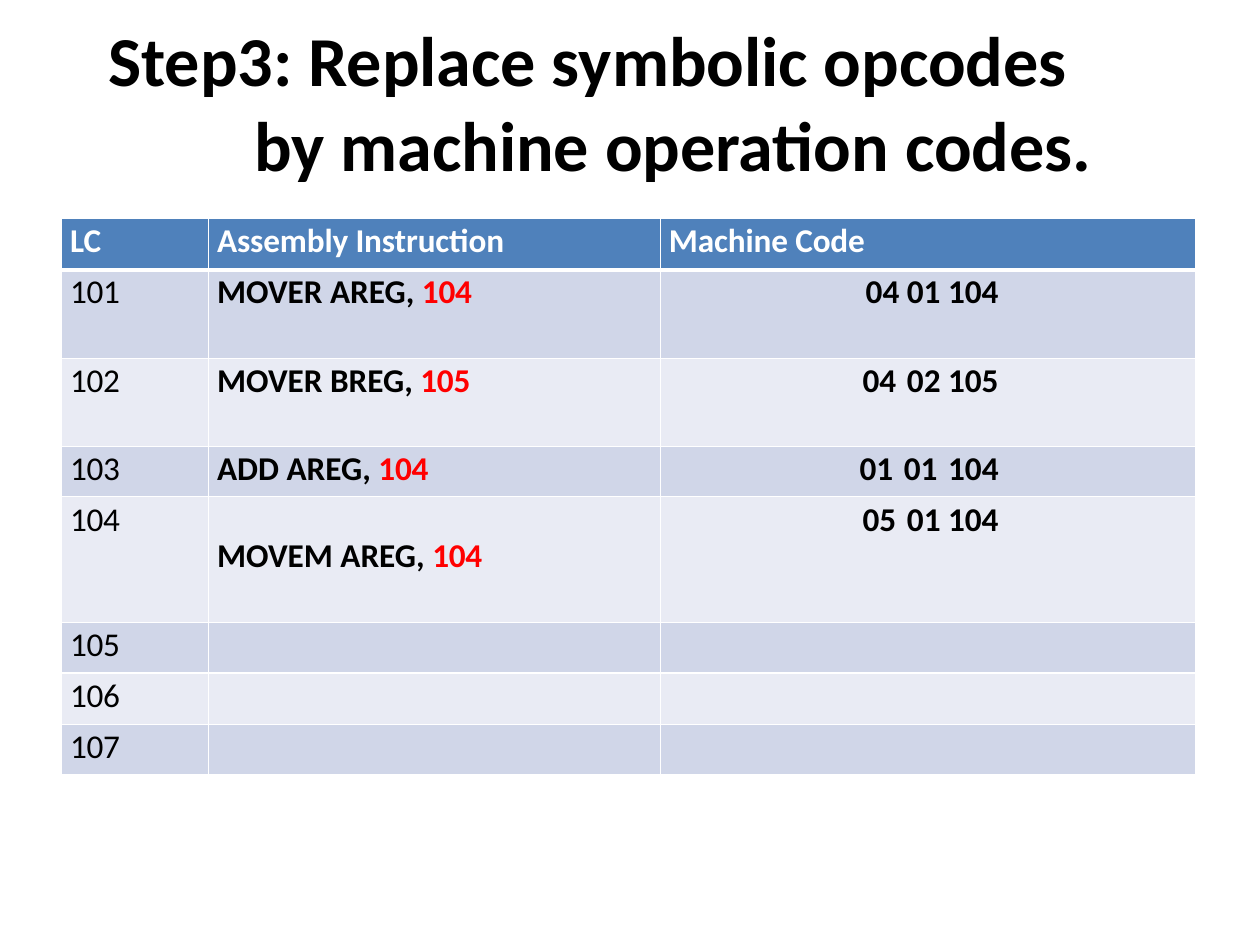
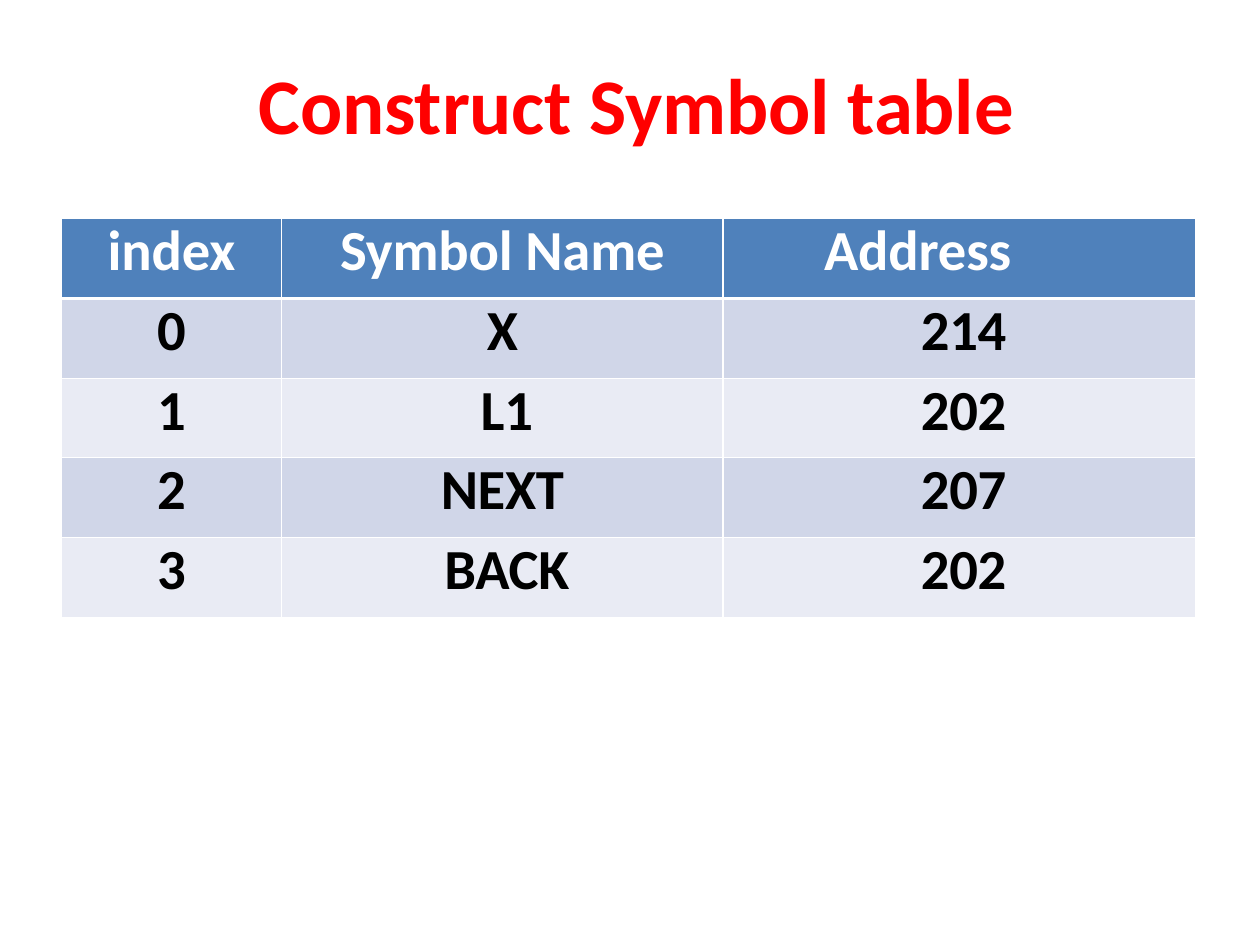
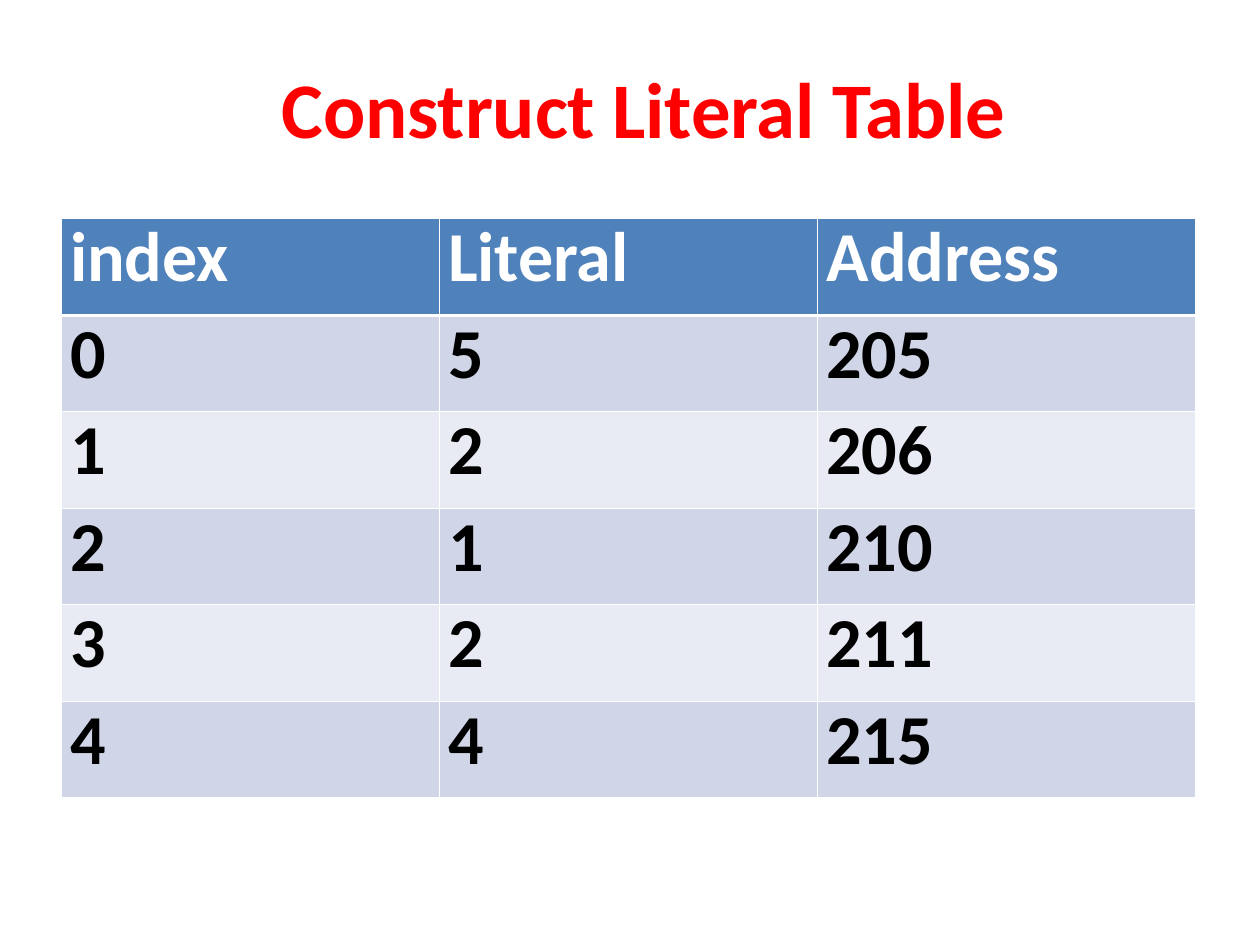
from dataclasses import dataclass

from lxml import etree
from pptx import Presentation
from pptx.dml.color import RGBColor
from pptx.enum.text import MSO_ANCHOR, PP_ALIGN
from pptx.oxml.ns import qn
from pptx.slide import Slide
from pptx.table import _Cell
from pptx.text.text import TextFrame
from pptx.util import Emu, Pt

EMU_PER_PX = 9144
LEFT, CENTER, RIGHT = PP_ALIGN.LEFT, PP_ALIGN.CENTER, PP_ALIGN.RIGHT
TOP = MSO_ANCHOR.TOP

FONT = "Calibri"
BLACK, WHITE, RED = "000000", "FFFFFF", "FF0000"
HEADER_FILL = "4F81BB"
BAND_FILLS = ("D0D6E8", "E9EBF4")
THIN, THICK = 1, 3

SLIDE_SIZE = (1422, 1067)
TITLE_BOX = (120, 18, 1181, 193)
TABLE_LEFT, TABLE_TOP = 69, 247
CELL_INDENT = 10
CODE_RIGHT = 222


@dataclass(frozen=True)
class Piece:
    text: str
    color: str = BLACK
    tracking: int = 0


@dataclass(frozen=True)
class Passage:
    pieces: tuple[Piece, ...] = ()
    align: PP_ALIGN = LEFT
    indent: int = CELL_INDENT
    hanging: int = 0
    top: int = 0
    right: int = 0
    tabs: tuple[int, ...] = ()
    bold: bool = True


@dataclass(frozen=True)
class Grid:
    columns: tuple[int, ...]
    heights: tuple[int, ...]
    size: int
    rows: tuple[tuple[Passage, ...], ...]
    line_spacing: float | None = None


@dataclass(frozen=True)
class Page:
    title: Passage
    title_size: int
    grid: Grid


def px(length: int) -> Emu:
    return Emu(length * EMU_PER_PX)


def rgb(value: str) -> RGBColor:
    return RGBColor.from_string(value)


def write_passage(frame: TextFrame, passage: Passage, size: int,
                  line_spacing: float | None = None) -> None:
    paragraph = frame.paragraphs[0]
    properties = paragraph._p.get_or_add_pPr()
    properties.set("marL", str(px(passage.indent)))
    properties.set("indent", str(px(-passage.hanging)))
    if passage.tabs:
        stops = etree.SubElement(properties, qn("a:tabLst"))
        for position in passage.tabs:
            etree.SubElement(stops, qn("a:tab"), pos=str(px(position)), algn="l")
    paragraph.alignment = passage.align
    if line_spacing:
        paragraph.line_spacing = Pt(line_spacing)
    font_values = {"name": FONT, "size": Pt(size), "bold": passage.bold}
    for piece in passage.pieces:
        run = paragraph.add_run()
        run.text = piece.text
        for attribute, value in font_values.items():
            setattr(run.font, attribute, value)
        run.font.color.rgb = rgb(piece.color)
        run._r.get_or_add_rPr().set("spc", str(piece.tracking))


def draw_title(slide: Slide, title: Passage, size: int) -> None:
    frame = slide.shapes.add_textbox(*map(px, TITLE_BOX)).text_frame
    frame_values = {"word_wrap": True, "vertical_anchor": TOP, "margin_left": 0,
                    "margin_top": px(title.top), "margin_right": 0, "margin_bottom": 0}
    for attribute, value in frame_values.items():
        setattr(frame, attribute, value)
    write_passage(frame, title, size)


def draw_borders(cell: _Cell, row: int) -> None:
    widths = {"a:lnL": THIN, "a:lnR": THIN,
              "a:lnT": THICK if row == 1 else THIN,
              "a:lnB": THICK if row == 0 else THIN}
    properties = cell._tc.get_or_add_tcPr()
    for position, (tag, width) in enumerate(widths.items()):
        line = etree.Element(qn(tag), w=str(Pt(width)))
        fill = etree.SubElement(line, qn("a:solidFill"))
        etree.SubElement(fill, qn("a:srgbClr"), val=WHITE)
        properties.insert(position, line)


def draw_grid(slide: Slide, grid: Grid) -> None:
    table = slide.shapes.add_table(
        len(grid.rows), len(grid.columns), px(TABLE_LEFT), px(TABLE_TOP),
        px(sum(grid.columns)), px(sum(grid.heights))).table
    table.first_row = table.horz_banding = False
    for column, width in zip(table.columns, grid.columns):
        column.width = px(width)
    for row, height in zip(table.rows, grid.heights):
        row.height = px(height)
    for row, passages in enumerate(grid.rows):
        for column, passage in enumerate(passages):
            cell = table.cell(row, column)
            cell_values = {"margin_left": 0, "margin_top": px(passage.top),
                           "margin_right": px(passage.right), "margin_bottom": 0,
                           "vertical_anchor": TOP}
            for attribute, value in cell_values.items():
                setattr(cell, attribute, value)
            cell.fill.solid()
            cell.fill.fore_color.rgb = rgb(
                BAND_FILLS[(row - 1) % 2] if row else HEADER_FILL)
            draw_borders(cell, row)
            write_passage(cell.text_frame, passage, grid.size, grid.line_spacing)


def heading(text: str, align: PP_ALIGN = LEFT, indent: int = CELL_INDENT,
            top: int = 0) -> Passage:
    return Passage((Piece(text, WHITE, -10),), align, indent, top=top)


def entry(text: str, align: PP_ALIGN = LEFT, indent: int = CELL_INDENT) -> Passage:
    return Passage((Piece(text, tracking=-20),), align, indent)


def instruction_row(counter: str, operation: str = "", address: str = "",
                    code: str = "", tabs: tuple[int, ...] = (), top: int = 3,
                    operation_top: int = 3) -> tuple[Passage, ...]:
    location = Passage((Piece(counter, tracking=-20),), top=top, bold=False)
    if not operation:
        return location, Passage(), Passage()
    return (
        location,
        Passage((Piece(operation), Piece(address, RED, -20)), top=operation_top),
        Passage((Piece(code),), RIGHT, 0, top=top, right=CODE_RIGHT, tabs=tabs),
    )


def symbol_row(index: str, symbol: str, address: str, symbol_indent: int = 0) -> tuple[Passage, ...]:
    return (entry(index, CENTER, 0), entry(symbol, CENTER, symbol_indent),
            entry(address, CENTER))


OPCODES = Grid(
    columns=(166, 510, 604),
    heights=(58, 100, 99, 57, 142, 57, 58, 57),
    size=27,
    rows=(
        tuple(heading(text, top=2) for text in ("LC", "Assembly Instruction", "Machine Code")),
        instruction_row("101", "MOVER AREG, ", "104", "04 01 104", top=2, operation_top=2),
        instruction_row("102", "MOVER BREG, ", "105", "04\t02 105", (66,)),
        instruction_row("103", "ADD AREG, ", "104", "01\t01\t104", (66, 120)),
        instruction_row("104", "MOVEM AREG, ", "104", "05\t01 104", (71,), operation_top=44),
        *(instruction_row(counter) for counter in ("105", "106", "107")),
    ),
)

SYMBOLS = Grid(
    columns=(249, 498, 533),
    heights=(90,) * 5,
    size=46,
    line_spacing=54.7,
    rows=(
        (heading("index", CENTER, 0), heading("Symbol Name", CENTER, 0),
         heading("Address", indent=114)),
        symbol_row("0", "X", "214"),
        symbol_row("1", "L1", "202", CELL_INDENT),
        symbol_row("2", "NEXT", "207"),
        symbol_row("3", "BACK", "202", CELL_INDENT),
    ),
)

LITERALS = Grid(
    columns=(427, 427, 426),
    heights=(109,) * 6,
    size=57,
    line_spacing=66.4,
    rows=(
        tuple(map(heading, ("index", "Literal", "Address"))),
        *(tuple(map(entry, literal)) for literal in (
            ("0", "5", "205"),
            ("1", "2", "206"),
            ("2", "1", "210"),
            ("3", "2", "211"),
            ("4", "4", "215"),
        )),
    ),
)

PAGES = (
    Page(Passage((Piece("Step3: Replace symbolic opcodes by machine operation codes."),),
                 indent=167, hanging=165, top=1), 57, OPCODES),
    Page(Passage((Piece("Construct Symbol table", RED, -10),), indent=172, top=45),
         64, SYMBOLS),
    Page(Passage((Piece("Construct Literal Table", RED, -10),), indent=198, top=50),
         64, LITERALS),
)


def main() -> None:
    deck = Presentation()
    deck.slide_width, deck.slide_height = map(px, SLIDE_SIZE)
    blank = deck.slide_layouts[6]
    for page in PAGES:
        slide = deck.slides.add_slide(blank)
        draw_title(slide, page.title, page.title_size)
        draw_grid(slide, page.grid)
    deck.save("out.pptx")


if __name__ == "__main__":
    main()
